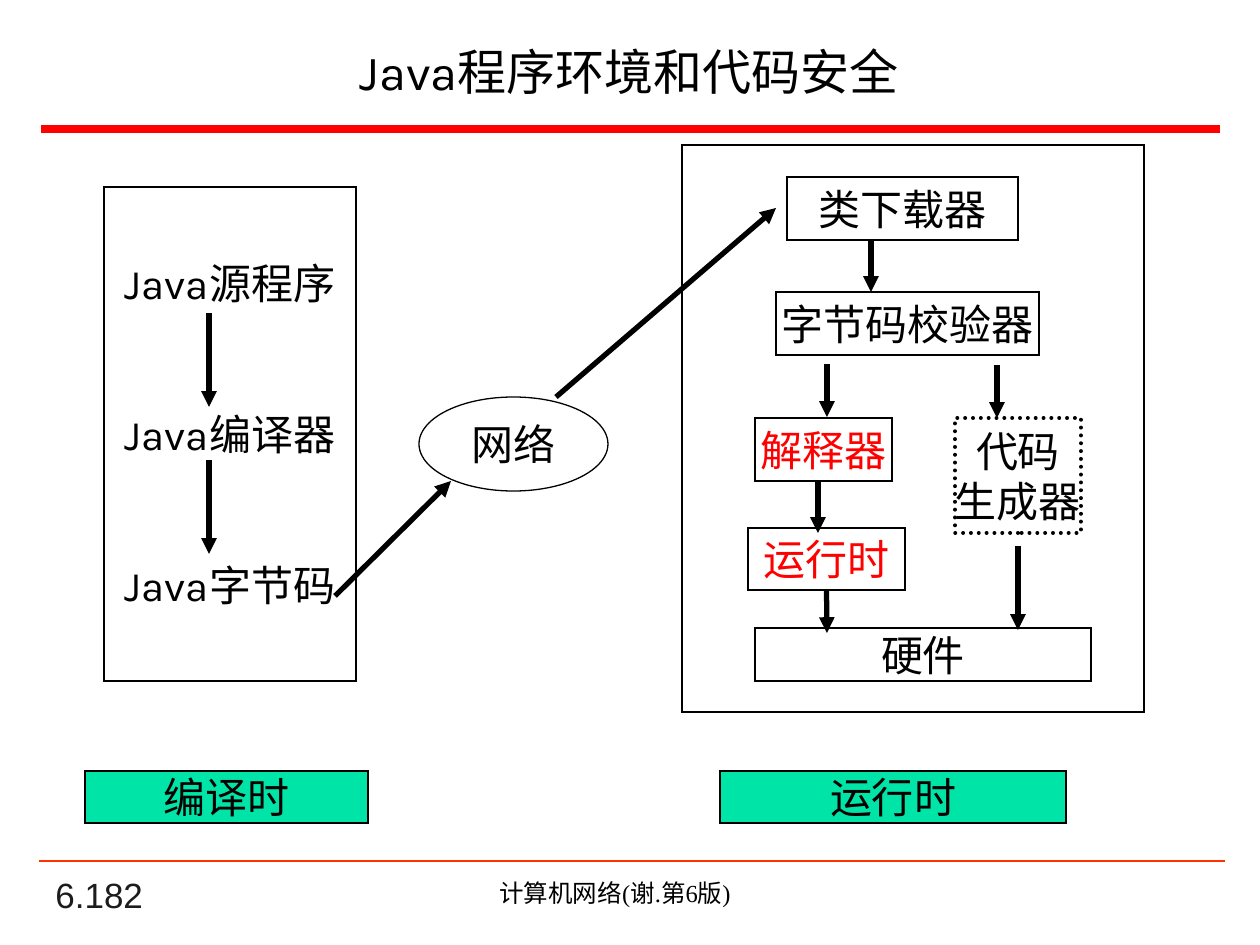
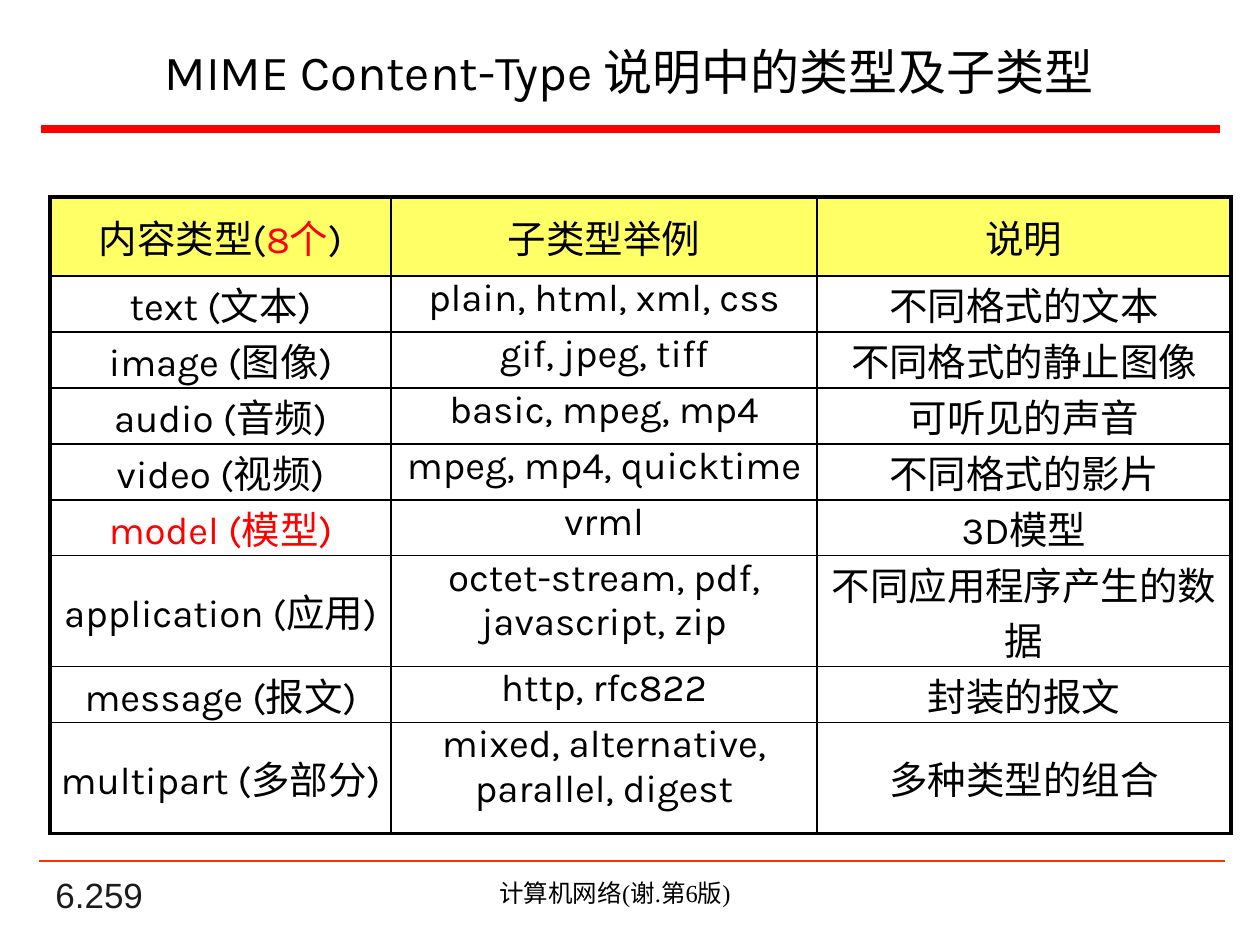
from lxml import etree
from pptx import Presentation
from pptx.dml.color import RGBColor
from pptx.enum.dml import MSO_LINE
from pptx.enum.shapes import MSO_CONNECTOR, MSO_SHAPE
from pptx.enum.text import MSO_ANCHOR, PP_ALIGN
from pptx.oxml.ns import qn
from pptx.util import Emu, Pt

LEFT, CENTER = PP_ALIGN.LEFT, PP_ALIGN.CENTER
TOP, MIDDLE, BOTTOM = MSO_ANCHOR.TOP, MSO_ANCHOR.MIDDLE, MSO_ANCHOR.BOTTOM
RECTANGLE, ELLIPSE = MSO_SHAPE.RECTANGLE, MSO_SHAPE.OVAL
STRAIGHT = MSO_CONNECTOR.STRAIGHT
DOTTED = MSO_LINE.ROUND_DOT
BOTTOM_SIDE = 2

PX_PER_INCH = 126
BLACK, WHITE, RED = "000000", "FFFFFF", "FF0000"
FOOTER_LINE, NUMBER_GRAY = "FF3300", "1C1C1C"
GREEN, YELLOW = "00E4A8", "FFFF66"
BODY_FONT, NUMBER_FONT, FOOTER_FONT = "Karla", "Arial", "Times New Roman"
FOOTER = "计算机网络(谢.第6版)"

# Slide 1: frames and boxes as (text, left, top, width, height)
JAVA_TITLE, JAVA_NUMBER = "Java程序环境和代码安全", "6.182"
COMPILE_STEPS = ("Java源程序\nJava编译器\nJava字节码", 104, 187, 252, 494)
STEP_GAP = 57.5
NETWORK = ("网络", 419, 397, 189, 94)
RUNTIME_FRAME = ("", 682, 145, 462, 567)
RUNTIME_BOXES = [
    ("类下载器", 787, 177, 231, 63),
    ("字节码校验器", 776, 292, 263, 63),
    ("硬件", 755, 628, 336, 53),
]
INTERPRETER = ("解释器", 755, 418, 137, 63)
RUNTIME = ("运行时", 748, 528, 157, 62)
CODE_GENERATOR = ("代码\n生成器", 955, 418, 126, 115)
PHASES = [("编译时", 85, 771, 283, 52), ("运行时", 720, 771, 346, 52)]

# Arrows as (from x, from y, to x, to y)
COMPILE_ARROWS = [(209, 313, 209, 407), (209, 460, 209, 554), (335, 596, 451, 481)]
RUNTIME_ARROWS = [
    (556, 397, 776, 208),
    (871, 239, 871, 292),
    (827, 364, 827, 417),
    (997, 365, 997, 418),
    (818, 481, 818, 533),
    (1018, 546, 1018, 630),
]
RUNTIME_TO_HARDWARE = (827, 591, 827, 633)

# Slide 2: a cell is a list of (text, colour) runs or a plain string
MIME_TITLE, MIME_NUMBER = "MIME Content-Type 说明中的类型及子类型", "6.259"
MIME_ROWS = [
    ([("内容类型(", BLACK), ("8个", RED), (")", BLACK)], "子类型举例", "说明"),
    ("text (文本)", "plain, html, xml, css", "不同格式的文本"),
    ("image (图像)", "gif, jpeg, tiff", "不同格式的静止图像"),
    ("audio (音频)", "basic, mpeg, mp4", "可听见的声音"),
    ("video (视频)", "mpeg, mp4, quicktime", "不同格式的影片"),
    ([("model (模型)", RED)], "vrml", "3D模型"),
    ("application (应用)", "octet-stream, pdf, javascript, zip", "不同应用程序产生的数据"),
    ("message (报文)", "http, rfc822", "封装的报文"),
    ("multipart (多部分)", "mixed, alternative, parallel, digest", "多种类型的组合"),
]
TABLE_LEFT, TABLE_TOP = 50, 197
COLUMN_WIDTHS = [341, 426, 414]
COLUMN_ANCHORS = [MIDDLE, TOP, MIDDLE]
HEADER_HEIGHT, ROW_HEIGHT, TALL_HEIGHT = 79, 56, 111
TALL_ROWS = (6, 8)
OUTER_BORDER, INNER_BORDER = 2.25, 1


def px(value):
    return Emu(round(value * 914400 / PX_PER_INCH))


def color(hex_code):
    return RGBColor.from_string(hex_code)


def style_font(font, size, hex_code, name=BODY_FONT):
    font.size, font.name = Pt(size), name
    font.color.rgb = color(hex_code)


def fill_text(text_frame, text, size, hex_code, name=BODY_FONT, align=CENTER, gap=0):
    """Write one paragraph per line, with gap points between them."""
    text_frame.text = text
    for index, paragraph in enumerate(text_frame.paragraphs):
        paragraph.alignment = align
        if index and gap:
            paragraph.space_before = Pt(gap)
        for run in paragraph.runs:
            style_font(run.font, size, hex_code, name)


def add_label(slide, text, box, size, hex_code, name=BODY_FONT, align=CENTER, anchor=TOP):
    shape = slide.shapes.add_textbox(*map(px, box))
    shape.text_frame.word_wrap = True
    shape.text_frame.vertical_anchor = anchor
    fill_text(shape.text_frame, text, size, hex_code, name, align)


def add_box(slide, content, fill=WHITE, text_color=BLACK, kind=RECTANGLE,
            line=BLACK, line_width=0.75, gap=0):
    text, *box = content
    shape = slide.shapes.add_shape(kind, *map(px, box))
    shape.shadow.inherit = False
    shape.fill.solid()
    shape.fill.fore_color.rgb = color(fill)
    shape.line.color.rgb = color(line)
    shape.line.width = Pt(line_width)
    etree.SubElement(shape.line._get_or_add_ln(), qn("a:miter"), lim="800000")
    if text:
        shape.text_frame.word_wrap = False
        shape.text_frame.vertical_anchor = MIDDLE
        fill_text(shape.text_frame, text, 24, text_color, gap=gap)
    return shape


def add_line(slide, ends, hex_code, width):
    connector = slide.shapes.add_connector(STRAIGHT, *map(px, ends))
    connector.line.color.rgb = color(hex_code)
    connector.line.width = Pt(width)
    etree.SubElement(connector._element.spPr, qn("a:effectLst"))
    return connector


def add_arrow(slide, ends):
    connector = add_line(slide, ends, BLACK, 3)
    etree.SubElement(connector.line._get_or_add_ln(), qn("a:tailEnd"), type="triangle")
    return connector


def add_page(presentation, title, number):
    """Add a slide with the shared title, bars and footer."""
    slide = presentation.slides.add_slide(presentation.slide_layouts[6])
    add_label(slide, number, (43, 880, 262, 42), 20, NUMBER_GRAY, NUMBER_FONT, LEFT, BOTTOM)
    add_box(slide, ("", 42, 126, 1177, 6), fill=RED, line=RED, line_width=1)
    add_line(slide, (39, 861, 1225, 861), FOOTER_LINE, 1.5)
    add_label(slide, FOOTER, (358, 872, 514, 43), 14, BLACK, FOOTER_FONT)
    add_label(slide, title, (49, 27, 1160, 87), 28, BLACK, anchor=MIDDLE)
    return slide


def build_java_slide(presentation):
    slide = add_page(presentation, JAVA_TITLE, JAVA_NUMBER)
    add_box(slide, COMPILE_STEPS, gap=STEP_GAP)
    add_box(slide, NETWORK, kind=ELLIPSE)
    add_box(slide, RUNTIME_FRAME)
    for content in RUNTIME_BOXES:
        add_box(slide, content)
    add_box(slide, INTERPRETER, text_color=RED)
    runtime = add_box(slide, RUNTIME, text_color=RED)
    generator = add_box(slide, CODE_GENERATOR, line_width=2.25)
    generator.line.dash_style = DOTTED
    generator.line._get_or_add_ln().set("cap", "rnd")
    for ends in COMPILE_ARROWS + RUNTIME_ARROWS:
        add_arrow(slide, ends)
    add_arrow(slide, RUNTIME_TO_HARDWARE).begin_connect(runtime, BOTTOM_SIDE)
    for content in PHASES:
        add_box(slide, content, fill=GREEN)


def set_borders(cell, widths):
    """Draw the four borders; widths maps each side tag to points."""
    properties = cell._tc.get_or_add_tcPr()
    for index, (tag, width) in enumerate(widths.items()):
        line = etree.Element(qn(tag), w=str(Pt(width)))
        solid = etree.SubElement(line, qn("a:solidFill"))
        etree.SubElement(solid, qn("a:srgbClr"), val=BLACK)
        properties.insert(index, line)


def fill_cell(cell, content, anchor):
    cell.margin_left = cell.margin_right = px(4)
    cell.margin_top = cell.margin_bottom = 0
    cell.vertical_anchor = anchor
    paragraph = cell.text_frame.paragraphs[0]
    paragraph.alignment = CENTER
    runs = [(content, BLACK)] if isinstance(content, str) else content
    for text, hex_code in runs:
        run = paragraph.add_run()
        run.text = text
        style_font(run.font, 22, hex_code)


def build_mime_slide(presentation):
    slide = add_page(presentation, MIME_TITLE, MIME_NUMBER)
    heights = [TALL_HEIGHT if row in TALL_ROWS else ROW_HEIGHT for row in range(len(MIME_ROWS))]
    heights[0] = HEADER_HEIGHT
    last_row, last_column = len(heights) - 1, len(COLUMN_WIDTHS) - 1
    table = slide.shapes.add_table(
        len(heights), len(COLUMN_WIDTHS), px(TABLE_LEFT), px(TABLE_TOP),
        px(sum(COLUMN_WIDTHS)), px(sum(heights))).table
    table.first_row = table.horz_banding = False
    for column, width in zip(table.columns, COLUMN_WIDTHS):
        column.width = px(width)
    for row, height in zip(table.rows, heights):
        row.height = px(height)

    for row, contents in enumerate(MIME_ROWS):
        for column, content in enumerate(contents):
            cell = table.cell(row, column)
            fill_cell(cell, content, COLUMN_ANCHORS[column] if row else MIDDLE)
            if row:
                cell.fill.background()
            else:
                cell.fill.solid()
                cell.fill.fore_color.rgb = color(YELLOW)
            on_edge = {"a:lnL": column == 0, "a:lnR": column == last_column,
                       "a:lnT": row == 0, "a:lnB": row == last_row}
            set_borders(cell, {tag: OUTER_BORDER if edge else INNER_BORDER
                               for tag, edge in on_edge.items()})


def main():
    presentation = Presentation()
    presentation.slide_width, presentation.slide_height = px(1260), px(945)
    build_java_slide(presentation)
    build_mime_slide(presentation)
    presentation.save("out.pptx")


if __name__ == "__main__":
    main()
